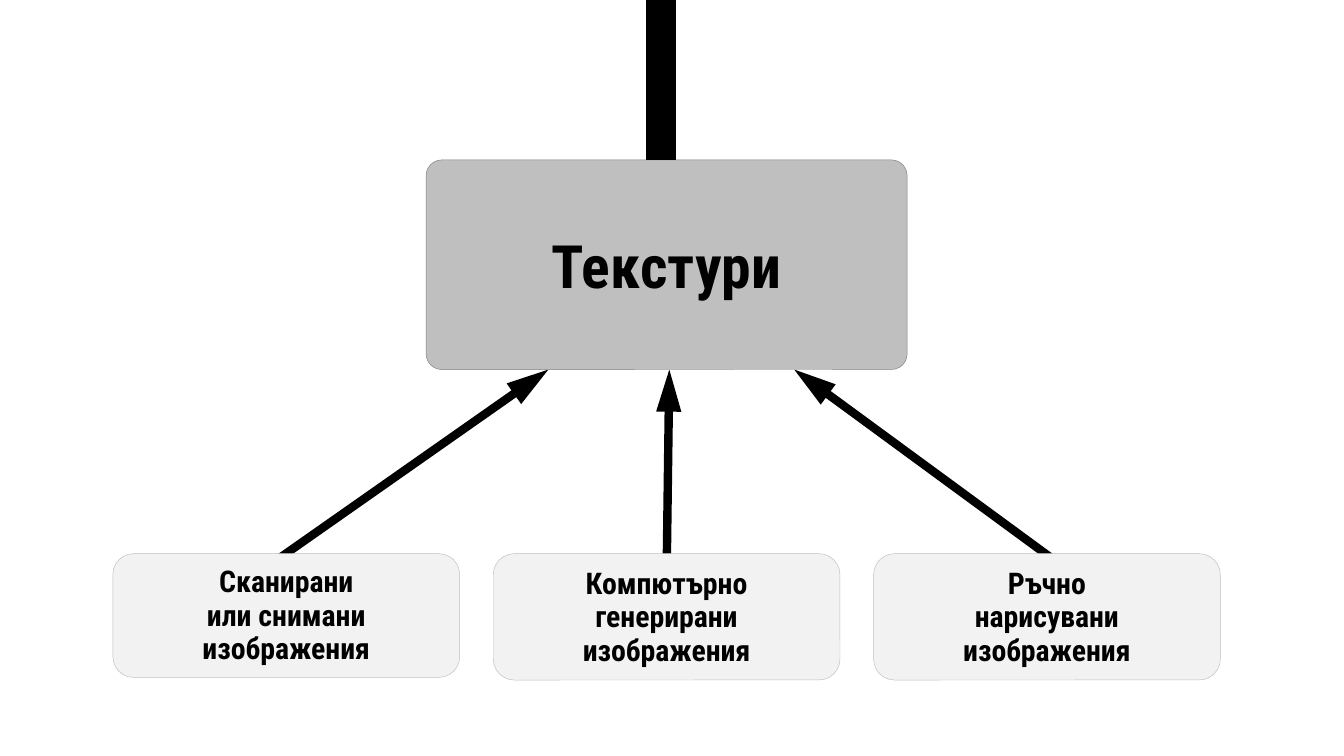
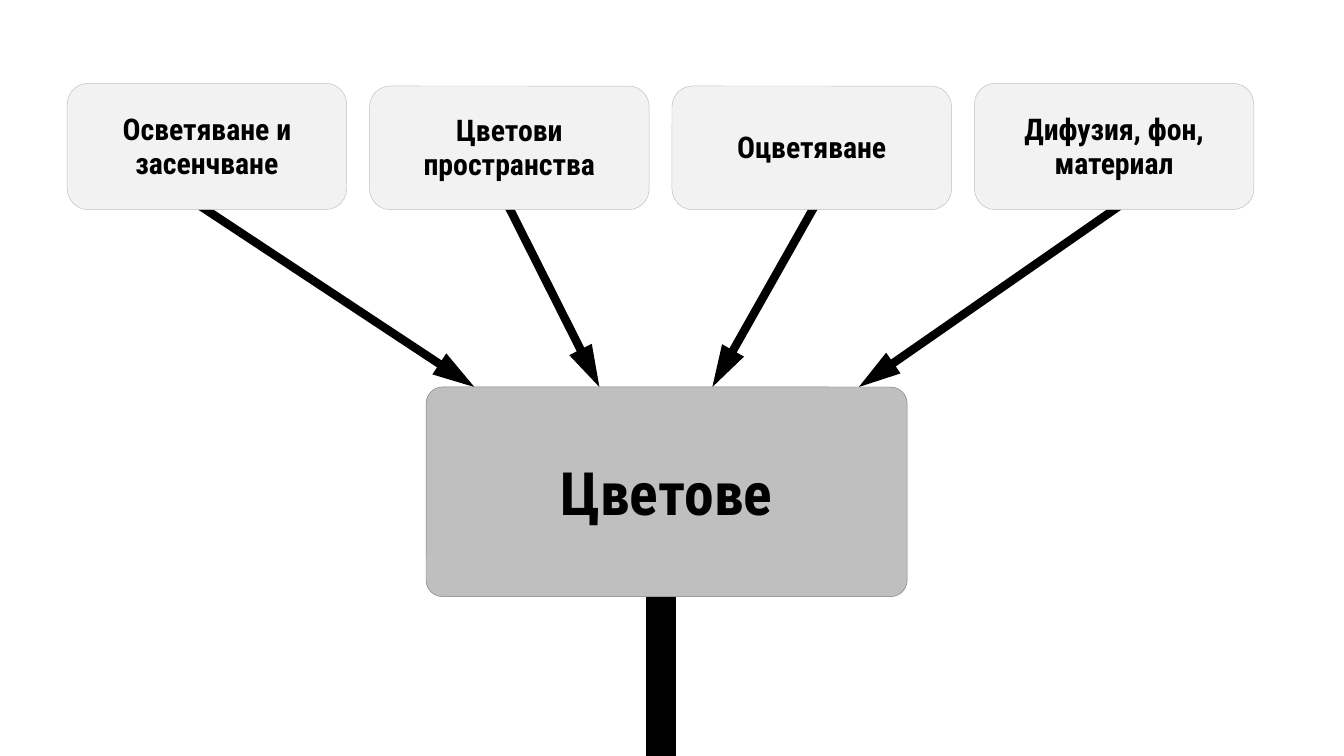
from dataclasses import dataclass

import pptx
import pptx.dml.color
import pptx.enum.shapes
import pptx.enum.text
import pptx.oxml
import pptx.oxml.ns
import pptx.presentation
import pptx.shapes.autoshape
import pptx.shapes.connector
import pptx.slide
import pptx.util
from pptx.dml.color import RGBColor
from pptx.util import Inches

BLACK = RGBColor(0x00, 0x00, 0x00)
DARK = RGBColor(0x80, 0x80, 0x80)
GREY = RGBColor(0xBF, 0xBF, 0xBF)
PALE = RGBColor(0xF2, 0xF2, 0xF2)

FONT = "Roboto Condensed"
WIDE = Inches(10)
TALL = WIDE * 9 // 16
GAP = 0.25
HUB_LEFT, HUB_WIDE, HUB_TALL = 3.17, 3.58, 1.56
STEM = Inches(4.92)

Point = tuple[float, float]


@dataclass
class Box:
    text: str
    top: float
    tall: float
    start: Point
    tip: float


@dataclass
class Chart:
    title: str
    top: float
    round: float
    above: bool
    left: float
    wide: float
    boxes: list[Box]


CHARTS = [
    Chart("Текстури", 1.19, 0.075, False, 0.84, 2.58, [
        Box("Сканирани\nили снимани изображения", 4.12, 0.92, (1.97, 4.23), 4.08),
        Box("Компютърно\nгенерирани изображения", 4.12, 0.94, (4.96, 4.29), 4.98),
        Box("Ръчно\nнарисувани изображения", 4.12, 0.94, (7.97, 4.26), 5.91),
    ]),
    Chart("Цветове", 2.88, 0.079, True, 0.5, 2.0 + 0.08, [
        Box("Осветяване и засенчване", 0.62, 0.94, (1.38, 1.46), 3.53),
        Box("Цветови пространства", 0.64, 0.92, (3.7, 1.37), 4.46),
        Box("Оцветяване", 0.64, 0.92, (6.12, 1.43), 5.3),
        Box("Дифузия, фон, материал", 0.62, 0.94, (8.39, 1.49), 6.39),
    ]),
]


def add_line(slide: pptx.slide.Slide, x1: int, y1: int, x2: int, y2: int,
             size: float) -> pptx.shapes.connector.Connector:
    line = slide.shapes.add_connector(
        pptx.enum.shapes.MSO_CONNECTOR.STRAIGHT, x1, y1, x2, y2)
    line.line.color.rgb = BLACK
    line.line.width = pptx.util.Pt(size)
    props = line._element.spPr
    props.append(pptx.oxml.parse_xml(
        f'<a:effectLst {pptx.oxml.ns.nsdecls("a")}/>'))
    return line


def add_arrow(slide: pptx.slide.Slide, start: Point, tip: Point) -> None:
    ends = [Inches(value) for value in (*start, *tip)]
    arrow = add_line(slide, *ends, 4.5)
    arrow.line._get_or_add_ln().append(pptx.oxml.parse_xml(
        f'<a:tailEnd {pptx.oxml.ns.nsdecls("a")} type="triangle" w="med" len="lg"/>'))


def add_box(slide: pptx.slide.Slide, text: str, left: float, top: float,
            wide: float, tall: float, fill: RGBColor, edge: RGBColor,
            size: int, space: int | None = None) -> pptx.shapes.autoshape.Shape:
    box = slide.shapes.add_shape(
        pptx.enum.shapes.MSO_SHAPE.ROUNDED_RECTANGLE,
        Inches(left), Inches(top), Inches(wide), Inches(tall))
    box.shadow.inherit = False
    box.fill.solid()
    box.fill.fore_color.rgb = fill
    box.line.color.rgb = edge
    box.line.width = pptx.util.Pt(0.25)
    frame = box.text_frame
    frame.word_wrap = True
    frame.vertical_anchor = pptx.enum.text.MSO_ANCHOR.MIDDLE
    frame.text = text
    for para in frame.paragraphs:
        para.alignment = pptx.enum.text.PP_ALIGN.CENTER
        if space:
            para.line_spacing = pptx.util.Pt(space)
        for run in para.runs:
            run.font.name = FONT
            run.font.size = pptx.util.Pt(size)
            run.font.bold = True
            run.font.color.rgb = BLACK
    return box


def draw(deck: pptx.presentation.Presentation, chart: Chart) -> None:
    slide = deck.slides.add_slide(deck.slide_layouts[6])
    base = chart.top + HUB_TALL
    edge = chart.top if chart.above else base
    for box in chart.boxes:
        add_arrow(slide, box.start, (box.tip, edge))
    hub = add_box(slide, chart.title, HUB_LEFT, chart.top, HUB_WIDE, HUB_TALL,
                  GREY, DARK, 32)
    hub.adjustments[0] = chart.round
    if chart.above:
        add_line(slide, STEM, Inches(base), STEM, TALL, 16)
    else:
        add_line(slide, STEM, 0, STEM, Inches(chart.top), 16)
    for spot, box in enumerate(chart.boxes):
        left = chart.left + spot * (chart.wide + GAP)
        if chart.above:
            left = chart.left + spot * 2.25
        add_box(slide, box.text, left, box.top, chart.wide, box.tall,
                PALE, GREY, 16, 18)


def main() -> None:
    deck = pptx.Presentation()
    deck.slide_width = WIDE
    deck.slide_height = TALL
    for chart in CHARTS:
        draw(deck, chart)
    deck.save("out.pptx")


if __name__ == "__main__":
    main()
